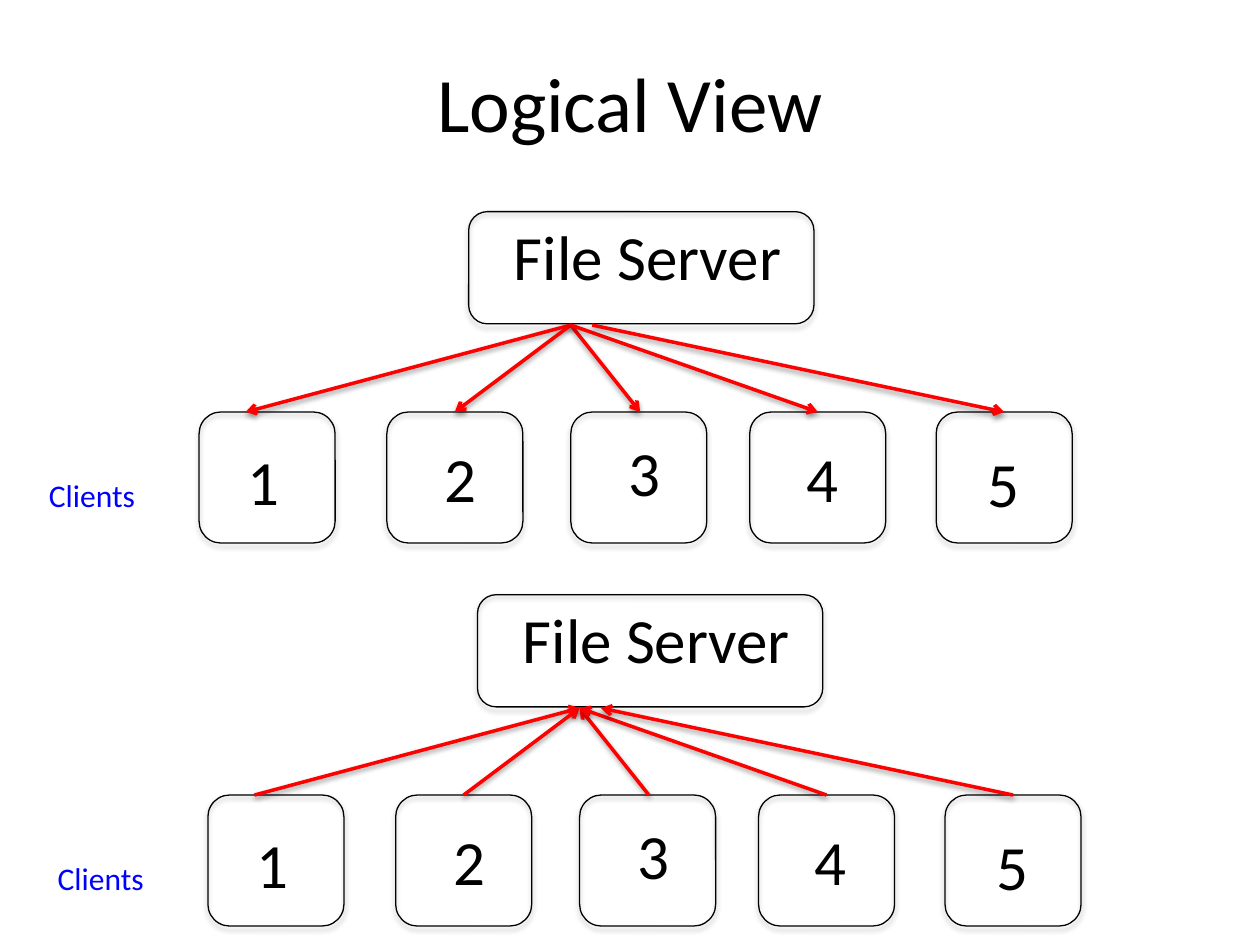
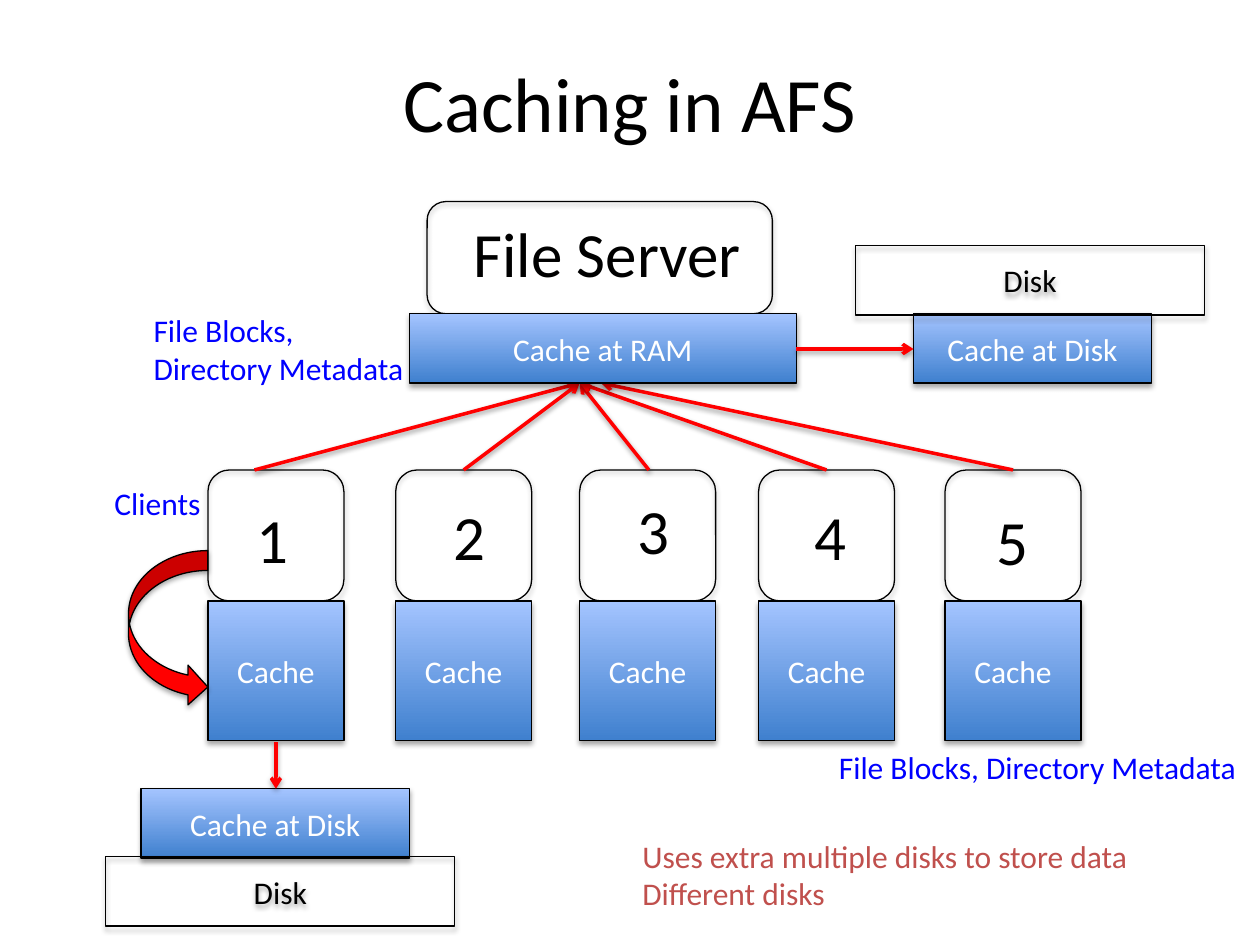
from dataclasses import dataclass

from lxml.etree import SubElement
from pptx import Presentation
from pptx.dml.color import RGBColor as RGB
from pptx.enum.shapes import MSO_CONNECTOR as Link, MSO_SHAPE as Shape
from pptx.enum.text import MSO_ANCHOR as Anchor, MSO_AUTO_SIZE as Fit, PP_ALIGN as Align
from pptx.oxml.ns import qn
from pptx.util import Inches, Pt


@dataclass(frozen=True)
class Theme:
    font: str = "Calibri"
    black: str = "000000"
    white: str = "FFFFFF"
    red: str = "FF0000"
    blue: str = "0000FF"
    brick: str = "C0504D"
    deep: str = "3F80CE"
    pale: str = "A4C4FF"
    title: int = 44
    large: int = 36
    body: int = 18
    edge: float = 0.75
    arrow: float = 2


T = Theme()

# Client: name, box left, arrow end, label left, label drop below the box top
CLIENTS = [
    ("1", 1.58, 1.95, 1.87, 0.19),
    ("2", 3.07, 3.61, 3.43, 0.17),
    ("3", 4.53, 5.08, 4.89, 0.12),
    ("4", 5.95, 6.49, 6.30, 0.17),
    ("5", 7.43, 7.97, 7.74, 0.21),
]
SIDE, TALL = 1.08, 1.04
TOP = 3.27            # top of the client row
PORT, LAST = 4.53, 4.70   # arrow ends at the server; the last client has its own
RISE = 0.69           # from client row up to the server

# Logical views: shift right, shift down, whether the clients send
VIEWS = [(0, 0, False), (0.07, 3.04, True)]
SHIFT = (0.07, 0.46)  # shift of the client row on the caching slide

CACHES = [
    ("Cache at RAM", 3.25, 2.49, 3.07, 0.55),
    ("Cache at Disk", 7.25, 2.49, 1.89, 0.55),
    ("Cache at Disk", 1.12, 6.26, 2.13, 0.55),
]
DISKS = [("Disk", 6.79, 1.95, 2.77, 0.55), ("Disk", 0.84, 6.8, 2.77, 0.55)]
FLOWS = [((6.32, 2.77), (7.25, 2.77)), ((2.19, 5.89), (2.19, 6.26))]
NOTES = [
    ("Clients", (0.81, 3.79, 0.89, 0.4), T.blue, False),
    ("File Blocks, Directory Metadata", (6.56, 5.89, 3.4, 0.4), T.blue, False),
    ("File Blocks,\nDirectory Metadata", (1.12, 2.42, 2.22, 0.71), T.blue, False),
    ("Uses extra multiple disks to store data\nDifferent disks",
     (5, 6.59, 4.09, 0.71), T.brick, True),
]


def write(frame, text, size=T.body, color=T.black, align=Align.LEFT,
          anchor=Anchor.TOP, wrap=True):
    frame.word_wrap = wrap
    frame.vertical_anchor = anchor
    frame.text = text
    for par in frame.paragraphs:
        par.alignment = align
        par.font.name = T.font
        par.font.size = Pt(size)
        par.font.color.rgb = RGB.from_string(color)


def label(slide, text, area, **form):
    box = slide.shapes.add_textbox(*map(Inches, area))
    write(box.text_frame, text, **form)
    box.text_frame.auto_size = Fit.SHAPE_TO_FIT_TEXT


def shade(item, alpha, drop):
    """Give a shape or connector a soft shadow straight below it."""
    props = item._element.spPr
    for old in props.findall(qn("a:effectLst")):
        props.remove(old)
    cast = SubElement(SubElement(props, qn("a:effectLst")), qn("a:outerShdw"),
                      blurRad=str(Pt(3.1)), dist=str(Pt(drop)),
                      dir="5400000", rotWithShape="0")
    tint = SubElement(cast, qn("a:srgbClr"), val=T.black)
    SubElement(tint, qn("a:alpha"), val=str(alpha * 1000))


def block(slide, kind, area, text="", fill=None, color=T.black):
    """Fill is None, one colour, or a (bottom, top) pair."""
    item = slide.shapes.add_shape(kind, *map(Inches, area))
    if fill is None:
        item.fill.background()
    elif isinstance(fill, tuple):
        item.fill.gradient()
        item.fill.gradient_angle = 90
        for stop, tone in zip(item.fill.gradient_stops, fill):
            stop.color.rgb = RGB.from_string(tone)
    else:
        item.fill.solid()
        item.fill.fore_color.rgb = RGB.from_string(fill)
    item.line.color.rgb = RGB.from_string(T.black)
    item.line.width = Pt(T.edge)
    shade(item, 35, 1.8)
    if text:
        write(item.text_frame, text, color=color, align=Align.CENTER,
              anchor=Anchor.MIDDLE)


def cache(slide, text, *area):
    block(slide, Shape.RECTANGLE, area, text, (T.deep, T.pale), T.white)


def arrow(slide, start, end):
    item = slide.shapes.add_connector(Link.STRAIGHT, *map(Inches, (*start, *end)))
    item.line.color.rgb = RGB.from_string(T.red)
    item.line.width = Pt(T.arrow)
    SubElement(item.line._ln, qn("a:tailEnd"), type="arrow")
    shade(item, 38, 1.6)


def server(slide, left, top, dx=0, dy=0):
    block(slide, Shape.ROUNDED_RECTANGLE, (left, top, 2.74, 0.89))
    label(slide, "File Server", (left + dx, top + dy, 2.84, 0.71),
          size=T.large, align=Align.CENTER)


def clients(slide, dx, dy, send):
    """Draw the client row and its arrows to or from the server."""
    top = TOP + dy
    for name, left, tip, mark, drop in CLIENTS:
        block(slide, Shape.ROUNDED_RECTANGLE, (left + dx, top, SIDE, TALL))
        label(slide, name, (mark + dx, top + drop, 0.46, 0.71),
              size=T.large, wrap=False)
        port = LAST if name == "5" else PORT
        ends = [(port + dx, top - RISE), (tip + dx, top)]
        arrow(slide, *(reversed(ends) if send else ends))


def page(deck, title):
    slide = deck.slides.add_slide(deck.slide_layouts[6])
    box = slide.shapes.add_textbox(*map(Inches, (0.5, 0.18, 9, 1.25)))
    write(box.text_frame, title, size=T.title, align=Align.CENTER,
          anchor=Anchor.MIDDLE)
    return slide


def logic(deck):
    slide = page(deck, "Logical View")
    for dx, dy, send in VIEWS:
        server(slide, 3.72 + dx, 1.68 + dy)
        clients(slide, dx, dy, send)
        label(slide, "Clients", (0.29 + dx, 3.73 + dy, 0.89, 0.4),
              color=T.blue, wrap=False)


def caching(deck):
    slide = page(deck, "Caching in AFS")
    dx, dy = SHIFT
    server(slide, 3.39, 1.6, 0.01, 0.05)
    clients(slide, dx, dy, True)
    for client in CLIENTS:
        cache(slide, "Cache", client[1] + dx, TOP + dy + TALL, SIDE, 1.11)
    block(slide, Shape.CURVED_RIGHT_ARROW, (1.02, 4.37, 0.63, 1.24), fill=T.red)
    for item in CACHES:
        cache(slide, *item)
    for text, *area in DISKS:
        block(slide, Shape.RECTANGLE, area, text)
    for start, end in FLOWS:
        arrow(slide, start, end)
    for text, area, color, wrap in NOTES:
        label(slide, text, area, color=color, wrap=wrap)


def main():
    deck = Presentation()
    deck.slide_width, deck.slide_height = Inches(10), Inches(7.5)
    logic(deck)
    caching(deck)
    deck.save("out.pptx")


if __name__ == "__main__":
    main()
